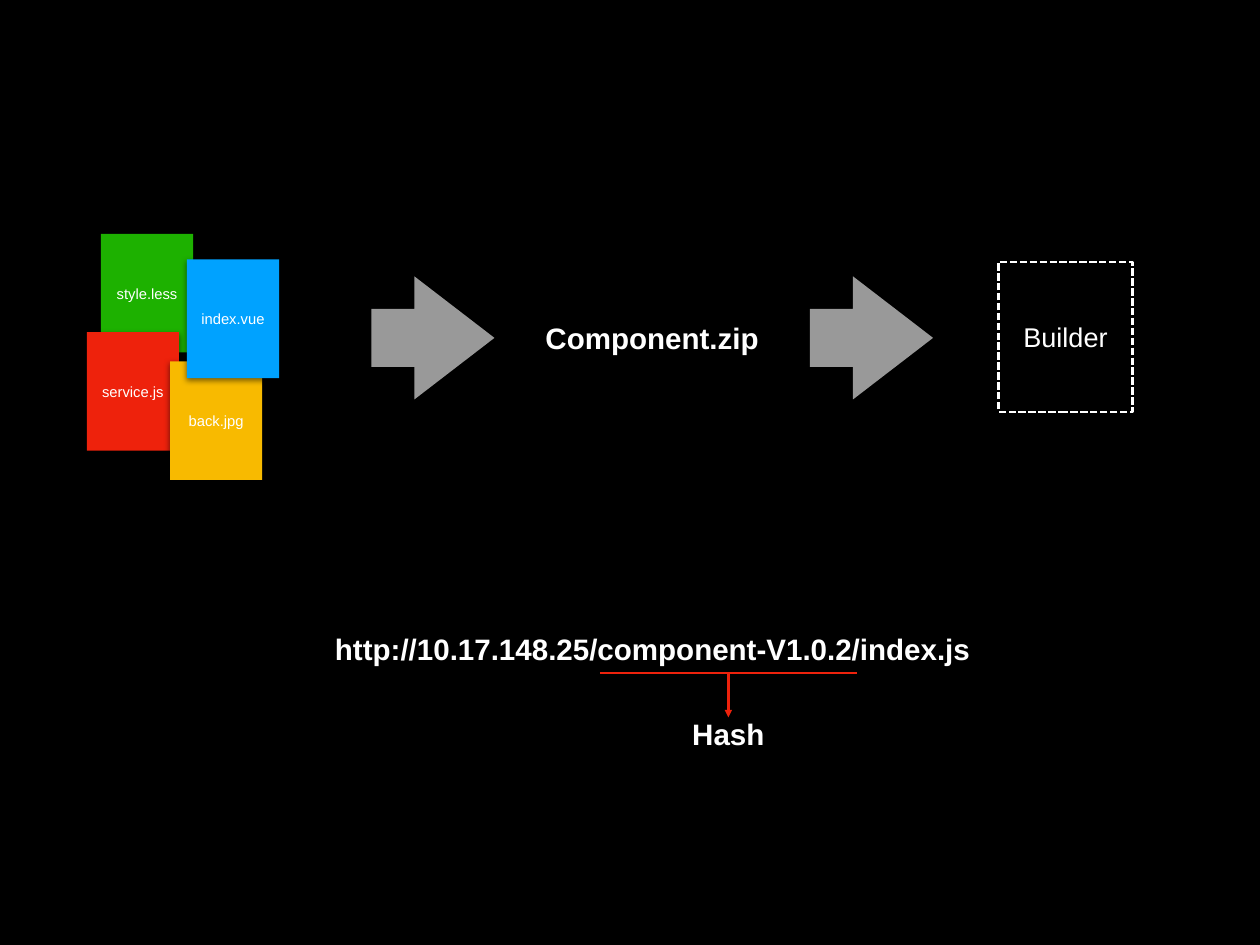
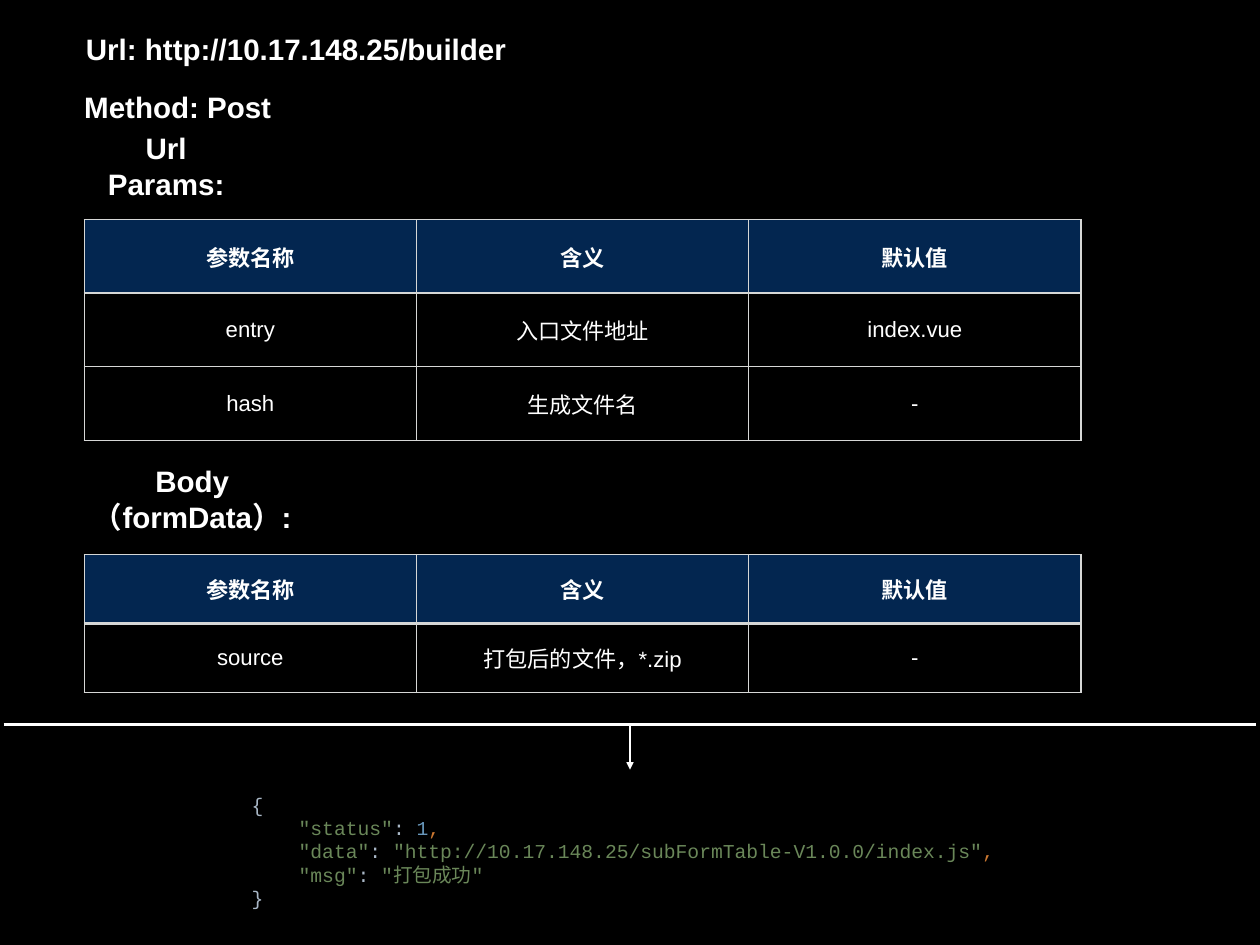
from lxml import etree
from pptx import Presentation, util as u
from pptx.dml.color import RGBColor
from pptx.enum import dml, shapes, text
from pptx.oxml import ns

HUES = {
    "black": "000000", "white": "FFFFFF", "green": "1DB100", "red": "EE220C",
    "amber": "F8BA00", "blue": "00A2FF", "navy": "032650", "rule": "D6D7D6",
    "plain": "A9B7C6", "string": "6A8759", "number": "6897BB", "comma": "CC7831",
}
SANS, MONO = "Arial", "Courier New"
PAD = u.Inches(0.06)
HEADS = ["参数名称", "含义", "默认值"]
URL = '"http://10.17.148.25/subFormTable-V1.0.0/index.js"'
INDENT = ("    ", "plain")
COLON = (": ", "plain")
CODE = [
    [("{", "plain")],
    [INDENT, ('"status"', "string"), COLON, ("1", "number"), (",", "comma")],
    [INDENT, ('"data"', "string"), COLON, (URL, "string"), (",", "comma")],
    [INDENT, ('"msg"', "string"), COLON, ('"打包成功"', "string")],
    [("}", "plain")],
]


def rgb(hue):
    return RGBColor.from_string(HUES[hue])


def sub(parent, tag, **attrs):
    return etree.SubElement(parent, ns.qn(tag), **attrs)


def place(*at):
    return [u.Inches(n) for n in at]


def paint(fill, hue):
    fill.solid()
    fill.fore_color.rgb = rgb(hue)


def style(para, size, bold=False):
    para.alignment = text.PP_ALIGN.CENTER
    font = para.font
    font.name, font.size, font.bold = SANS, u.Pt(size), bold
    font.color.rgb = rgb("white")


def inset(frame):
    frame.margin_left = frame.margin_right = PAD
    frame.margin_top = frame.margin_bottom = PAD
    frame.vertical_anchor = text.MSO_ANCHOR.MIDDLE


def add_page(deck):
    page = deck.slides.add_slide(deck.slide_layouts[6])
    paint(page.background.fill, "black")
    return page


def add_frame(page, at, wrap=False):
    frame = page.shapes.add_textbox(*place(*at)).text_frame
    inset(frame)
    frame.word_wrap = wrap
    if not wrap:
        frame.auto_size = text.MSO_AUTO_SIZE.SHAPE_TO_FIT_TEXT
    return frame


def add_label(page, words, at, wrap=False):
    para = add_frame(page, at, wrap).paragraphs[0]
    para.text = words
    style(para, 24, True)


def add_box(page, words, at, size):
    box = page.shapes.add_shape(shapes.MSO_SHAPE.RECTANGLE, *place(*at))
    box.shadow.inherit = False
    inset(box.text_frame)
    para = box.text_frame.paragraphs[0]
    para.text = words
    style(para, size)
    return box


def add_file(page, words, left, top, hue, shade=True):
    card = add_box(page, words, (left, top, 1.04, 1.34), 12)
    paint(card.fill, hue)
    card.line.fill.background()
    if shade:
        effects = card._element.spPr.find(ns.qn("a:effectLst"))
        cast = sub(effects, "a:outerShdw", blurRad=str(u.Pt(5)),
                   dist=str(u.Pt(2)), dir="5400000", rotWithShape="0")
        tint = sub(cast, "a:srgbClr", val=HUES["black"])
        sub(tint, "a:alpha", val="50000")


def add_arrow(page, left):
    """Block arrow in translucent white."""
    arrow = page.shapes.add_shape(
        shapes.MSO_SHAPE.RIGHT_ARROW, *place(left, 3.12, 1.39, 1.39))
    arrow.shadow.inherit = False
    arrow.adjustments[0], arrow.adjustments[1] = 0.47, 0.65
    paint(arrow.fill, "white")
    tint = arrow._element.spPr.find(".//" + ns.qn("a:srgbClr"))
    sub(tint, "a:alpha", val="60000")
    arrow.line.fill.background()


def add_line(page, ends, hue, head=False):
    line = page.shapes.add_connector(shapes.MSO_CONNECTOR.STRAIGHT, *place(*ends))
    line.line.width = u.Pt(2)
    line.line.color.rgb = rgb(hue)
    if head:
        sub(line.line._get_or_add_ln(), "a:tailEnd", type="triangle")
    sub(line._element.spPr, "a:effectLst")


def edge(cell, head):
    """Rule all four sides of a cell, heavier below the header."""
    props = cell._tc.get_or_add_tcPr()
    for spot, side in enumerate("LRTB"):
        width = u.Pt(2 if head and side == "B" else 1)
        rule = etree.Element(ns.qn("a:ln" + side), w=str(width))
        sub(sub(rule, "a:solidFill"), "a:srgbClr", val=HUES["rule"])
        props.insert(spot, rule)


def add_grid(page, top, high, rows):
    rows = [HEADS] + rows
    grid = page.shapes.add_table(
        len(rows), 3, *place(0.95, top, 11.25, high * len(rows))).table
    grid.first_row = grid.horz_banding = False
    for r, row in enumerate(rows):
        grid.rows[r].height = u.Inches(high)
        for c, words in enumerate(row):
            cell = grid.cell(r, c)
            inset(cell)
            if r:
                cell.fill.background()
            else:
                paint(cell.fill, "navy")
            edge(cell, r == 0)
            para = cell.text_frame.paragraphs[0]
            para.text = words
            style(para, 18, r == 0)


def add_code(page, at):
    frame = add_frame(page, at)
    for n, parts in enumerate(CODE):
        para = frame.add_paragraph() if n else frame.paragraphs[0]
        para.line_spacing = u.Pt(19)
        para.font.name, para.font.size = MONO, u.Pt(16)
        for words, hue in parts:
            run = para.add_run()
            run.text = words
            run.font.color.rgb = rgb(hue)


def draw_flow(page):
    add_file(page, "style.less", 1.14, 2.64, "green", shade=False)
    add_file(page, "service.js", 0.98, 3.75, "red")
    add_file(page, "back.jpg", 1.92, 4.08, "amber")
    add_file(page, "index.vue", 2.11, 2.93, "blue")
    for left in (4.19, 9.14):
        add_arrow(page, left)
    add_label(page, "Component.zip", (6.09, 3.56, 2.54, 0.5))
    goal = add_box(page, "Builder", (11.27, 2.96, 1.51, 1.69), 22)
    goal.fill.background()
    goal.line.color.rgb = rgb("white")
    goal.line.width = u.Pt(2)
    goal.line.dash_style = dml.MSO_LINE.SQUARE_DOT
    add_label(page, "http://10.17.148.25/component-V1.0.2/index.js",
              (3.66, 7.08, 7.41, 0.5))
    add_line(page, (6.77, 7.6, 9.67, 7.6), "red")
    add_line(page, (8.22, 7.6, 8.22, 8.1), "red", head=True)
    add_label(page, "Hash", (7.75, 8.03, 0.94, 0.5))


def draw_api(page):
    facts = [("Url: http://10.17.148.25/builder", 4.92),
             ("Method: Post", 2.25), ("Url Params:", 1.99)]
    for n, (words, wide) in enumerate(facts):
        add_label(page, words, (0.88, 0.3 + 0.66 * n, wide, 0.5))
    add_grid(page, 2.48, 0.83, [["entry", "入口文件地址", "index.vue"],
                                ["hash", "生成文件名", "-"]])
    add_label(page, "Body（formData）:", (0.77, 5.17, 2.8, 0.92), wrap=True)
    add_grid(page, 6.26, 0.78, [["source", "打包后的文件，*.zip", "-"]])
    add_code(page, (2.78, 8.67, 8.66, 1.88))
    add_line(page, (7.11, 8.18, 7.11, 8.69), "white", head=True)
    add_line(page, (0.04, 8.18, 14.18, 8.18), "white")


def main():
    deck = Presentation()
    deck.slide_width, deck.slide_height = place(14.22, 10.67)
    for draw in (draw_flow, draw_api):
        draw(add_page(deck))
    deck.save("out.pptx")


if __name__ == "__main__":
    main()
